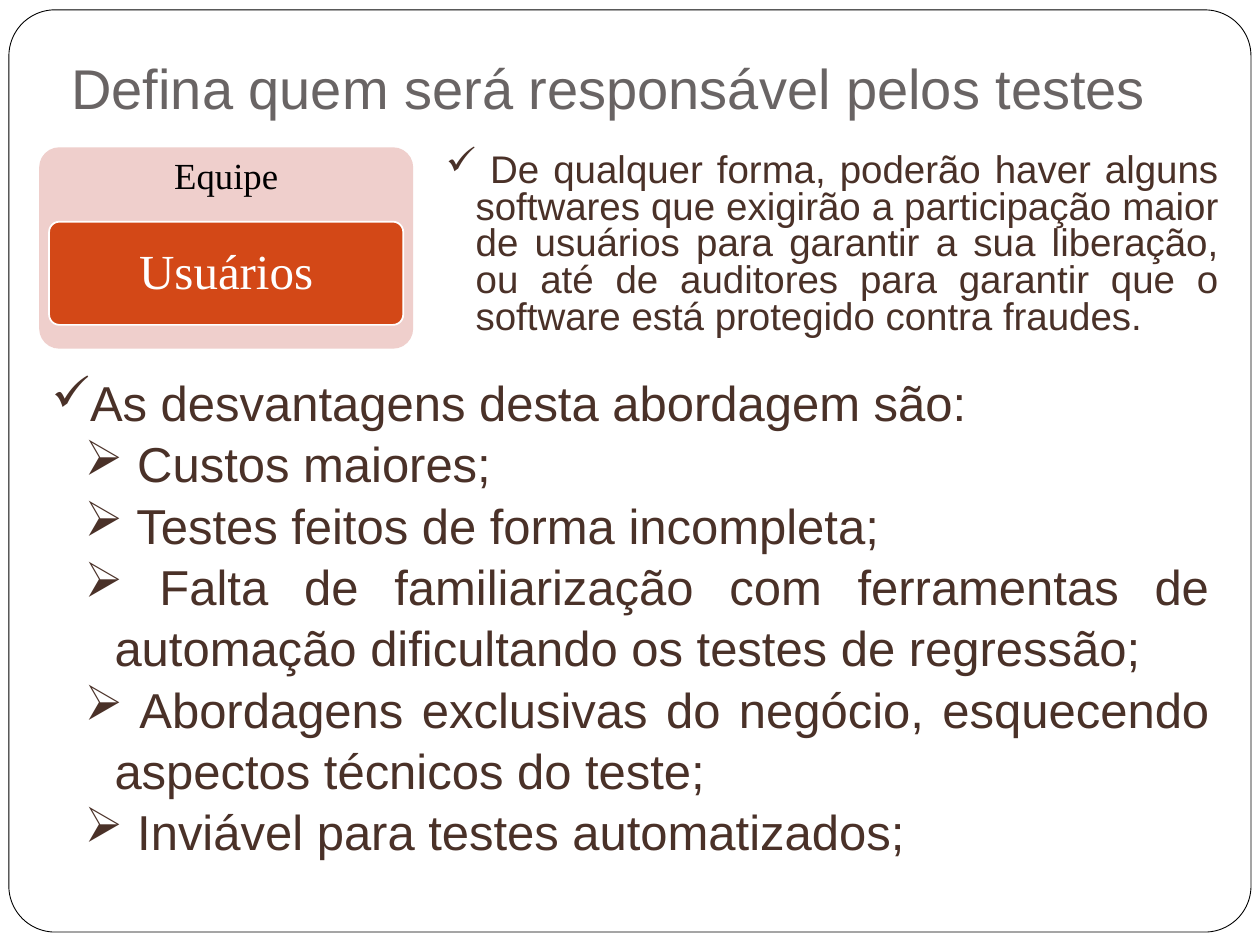
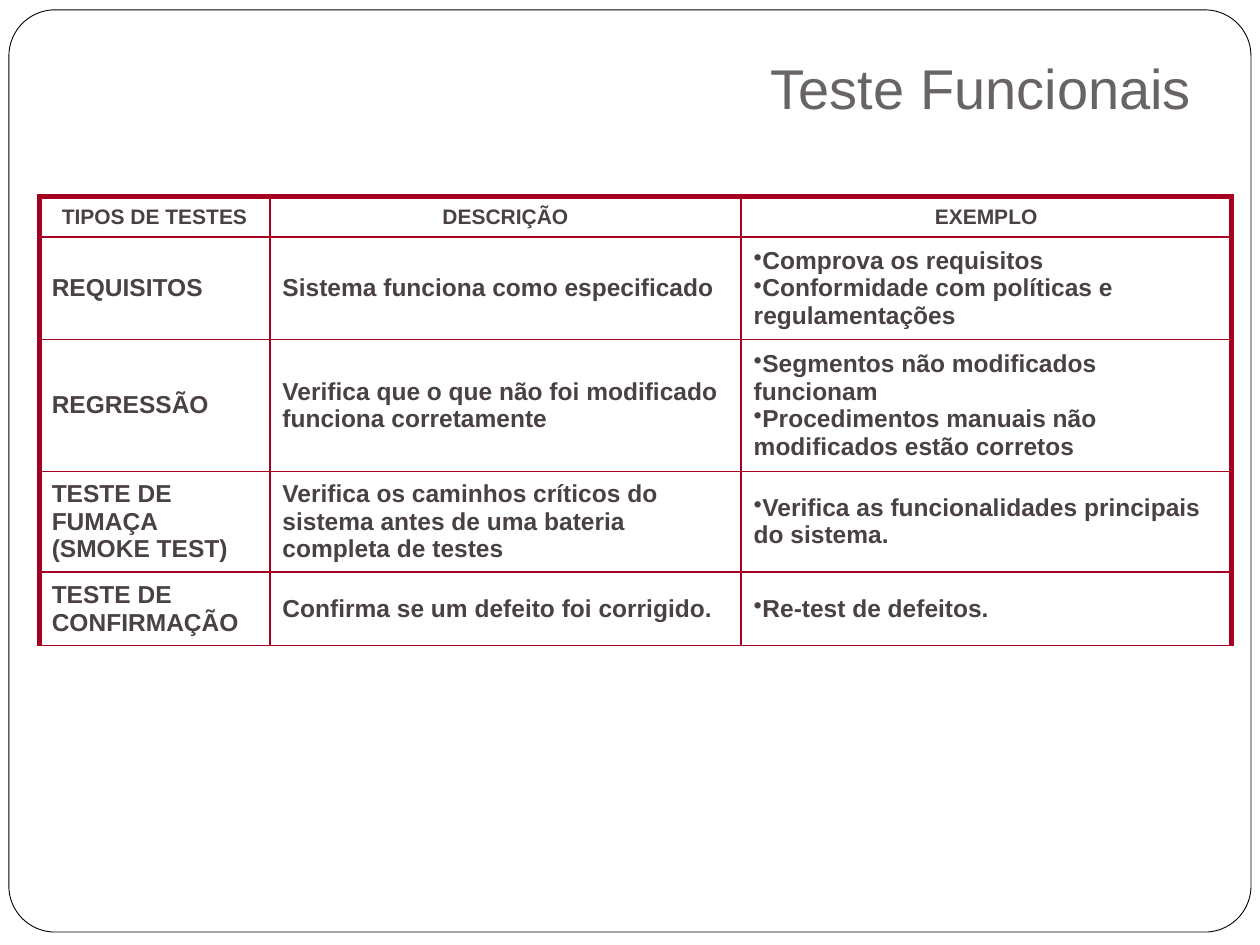
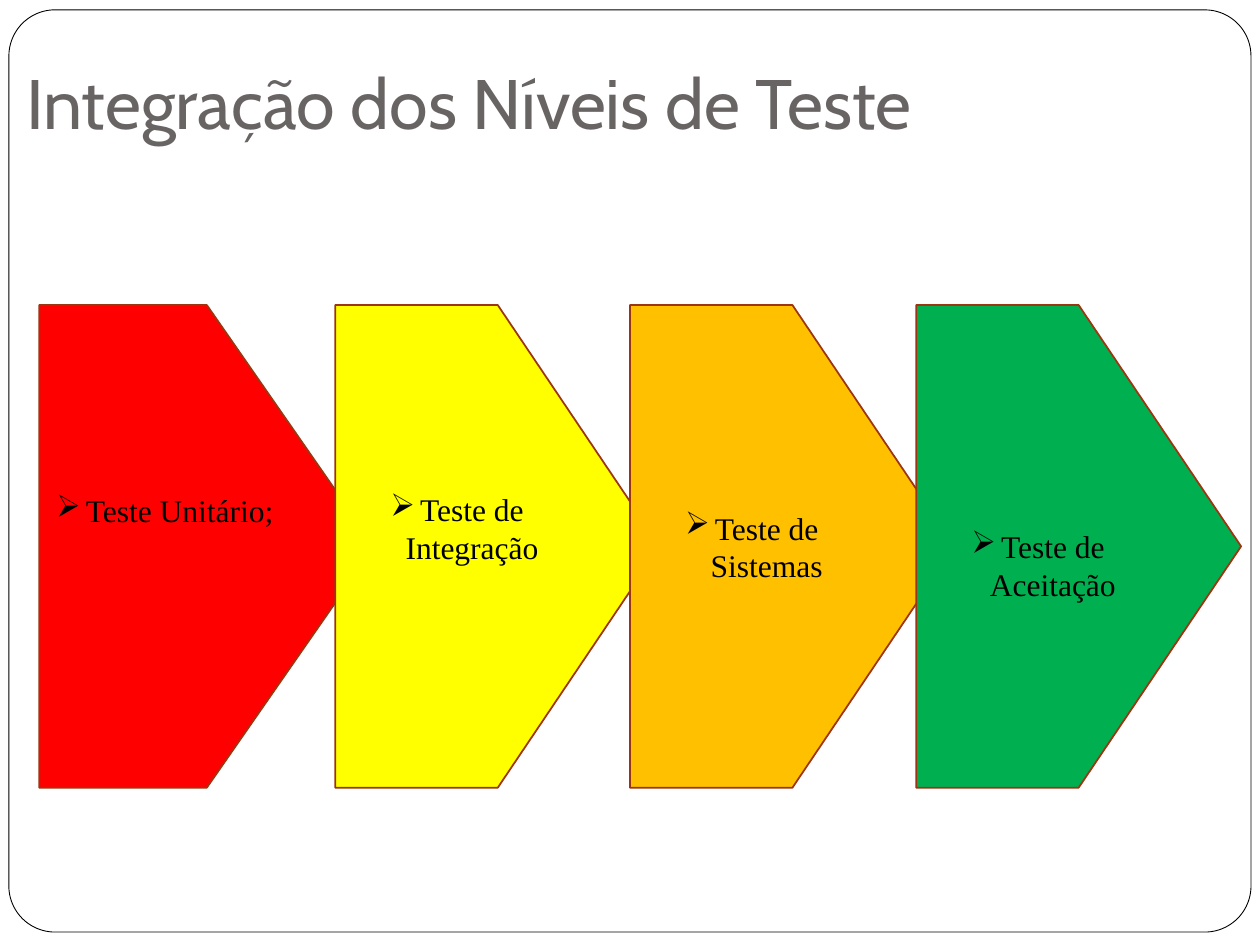
from dataclasses import dataclass

from lxml.etree import SubElement
from pptx import Presentation
from pptx.dml.color import RGBColor
from pptx.enum.shapes import MSO_SHAPE as Shape
from pptx.enum.text import MSO_ANCHOR as Anchor, PP_ALIGN as Align
from pptx.oxml.ns import qn
from pptx.util import Cm, Pt


@dataclass(frozen=True)
class Theme:
    sans: str = "Arial"
    serif: str = "Times New Roman"
    display: str = "Cabin"
    white: str = "FFFFFF"
    black: str = "000000"
    title: str = "696464"
    body: str = "4A3128"
    team: str = "EFCFCC"
    users: str = "D34817"
    grid: str = "A50021"
    cell: str = "494142"
    arrow_line: str = "9C3511"
    title_size: int = 32
    display_size: int = 40
    body_size: int = 28
    note_size: int = 22
    team_size: int = 21
    arrow_size: int = 18
    cell_size: int = 14
    header_size: int = 12
    hanging: float = 0.6
    thick: float = 3
    thin: float = 1


THEME = Theme()

DRAWBACKS = [
    " Custos maiores;",
    " Testes feitos de forma incompleta;",
    " Falta de familiarização com ferramentas de automação dificultando os testes de regressão;",
    " Abordagens exclusivas do negócio, esquecendo aspectos técnicos do teste;",
    " Inviável para testes automatizados;",
]

TEST_HEADERS = ["TIPOS DE TESTES", "DESCRIÇÃO", "EXEMPLO"]
TEST_TYPES = [
    ("REQUISITOS", "Sistema funciona como especificado",
     ["Comprova os requisitos", "Conformidade com políticas e regulamentações"]),
    ("REGRESSÃO", "Verifica que o que não foi modificado funciona corretamente",
     ["Segmentos não modificados funcionam",
      "Procedimentos manuais não modificados estão corretos"]),
    ("TESTE DE FUMAÇA (SMOKE TEST)",
     "Verifica os caminhos críticos do sistema antes de uma bateria completa de testes",
     ["Verifica as funcionalidades principais do sistema."]),
    ("TESTE DE CONFIRMAÇÃO", "Confirma se um defeito foi corrigido.",
     ["Re-test de defeitos."]),
]
COLUMN_WIDTHS = [4.65, 9.5, 9.88]
ROW_HEIGHTS = [0.82, 2.06, 2.66, 1.48, 1.48]

# (text, fill, left, width, lines of upward shift)
TEST_LEVELS = [
    ("Teste Unitário;", "FF0000", 0.79, 6.76, 2),
    ("Teste de Integração", "FFFF00", 6.76, 6.55, 1),
    ("Teste de Sistemas", "FFC000", 12.7, 6.55, 0),
    ("Teste de Aceitação", "00B050", 18.47, 6.55, -1),
]


def write_text(frame, text, size, color, font=THEME.sans, bold=False, align=Align.LEFT,
               bullet=None, margin=0, hanging=0, spacing=None):
    para = frame.paragraphs[0]
    if para.runs:
        para = frame.add_paragraph()
    para.alignment = align
    if spacing:
        para.line_spacing = spacing
    if bullet:
        properties = para._p.get_or_add_pPr()
        properties.set("marL", str(Cm(margin)))
        properties.set("indent", str(-Cm(hanging)))
        SubElement(properties, qn("a:buChar")).set("char", bullet)
    span = para.add_run()
    span.text = text
    span.font.name = font
    span.font.size = Pt(size)
    span.font.bold = bold
    span.font.color.rgb = RGBColor.from_string(color)


def add_box(page, left, top, width, height, anchor=Anchor.TOP):
    box = page.shapes.add_textbox(Cm(left), Cm(top), Cm(width), Cm(height))
    box.text_frame.word_wrap = True
    box.text_frame.vertical_anchor = anchor
    return box.text_frame


def add_panel(page, kind, left, top, width, height, fill, line=None, weight=1, corner=None):
    panel = page.shapes.add_shape(kind, Cm(left), Cm(top), Cm(width), Cm(height))
    panel.shadow.inherit = False
    panel.fill.solid()
    panel.fill.fore_color.rgb = RGBColor.from_string(fill)
    if line:
        panel.line.color.rgb = RGBColor.from_string(line)
        panel.line.width = Pt(weight)
    else:
        panel.line.fill.background()
    if corner is not None:
        panel.adjustments[0] = corner
    frame = panel.text_frame
    frame.word_wrap = True
    frame.vertical_anchor = Anchor.MIDDLE
    return frame


def add_page(deck):
    page = deck.slides.add_slide(deck.slide_layouts[6])
    add_panel(page, Shape.ROUNDED_RECTANGLE, 0.18, 0.2, 25.04, 18.59,
              THEME.white, THEME.black, weight=0.5, corner=0.05)
    return page


def add_title(page, text, left, width):
    frame = add_box(page, left, 0.94, width, 1.63, Anchor.MIDDLE)
    write_text(frame, text, THEME.title_size, THEME.title)


def set_borders(cell, weights):
    properties = cell._tc.get_or_add_tcPr()
    for side, weight in weights.items():
        line = SubElement(properties, qn(f"a:ln{side}"), w=str(Pt(weight)))
        fill = SubElement(line, qn("a:solidFill"))
        SubElement(fill, qn("a:srgbClr"), val=THEME.grid)


def add_test_table(page):
    rows, columns = len(ROW_HEIGHTS), len(COLUMN_WIDTHS)
    table = page.shapes.add_table(rows, columns, Cm(0.79), Cm(3.96),
                                  Cm(sum(COLUMN_WIDTHS)), Cm(sum(ROW_HEIGHTS))).table
    for column, width in zip(table.columns, COLUMN_WIDTHS):
        column.width = Cm(width)
    for row, height in zip(table.rows, ROW_HEIGHTS):
        row.height = Cm(height)
    for row_index, values in enumerate([TEST_HEADERS, *TEST_TYPES]):
        header = row_index == 0
        for column_index, value in enumerate(values):
            cell = table.cell(row_index, column_index)
            cell.vertical_anchor = Anchor.MIDDLE
            set_borders(cell, {
                "L": THEME.thick if column_index == 0 else THEME.thin,
                "R": THEME.thick if column_index == columns - 1 else THEME.thin,
                "T": THEME.thick if header else THEME.thin,
                "B": THEME.thin,
            })
            cell.fill.background()
            listed = isinstance(value, list)
            for text in value if listed else [value]:
                write_text(cell.text_frame, text,
                           THEME.header_size if header else THEME.cell_size,
                           THEME.cell, bold=True,
                           align=Align.CENTER if header else Align.LEFT,
                           bullet="•" if listed else None)


def add_team(page):
    add_panel(page, Shape.ROUNDED_RECTANGLE, 0.79, 2.97, 7.54, 4.06, THEME.team, corner=0.1)
    label = add_box(page, 0.79, 2.97, 7.54, 1.22, Anchor.MIDDLE)
    write_text(label, "Equipe", THEME.team_size, THEME.black, font=THEME.serif,
               align=Align.CENTER, spacing=0.9)
    users = add_panel(page, Shape.ROUNDED_RECTANGLE, 0.99, 4.47, 7.14, 2.08,
                      THEME.users, THEME.white, corner=0.1)
    write_text(users, "Usuários", THEME.body_size, THEME.white, font=THEME.serif,
               align=Align.CENTER, spacing=0.9)


def add_level_arrow(page, text, fill, left, width, lift):
    frame = add_panel(page, Shape.PENTAGON, left, 6.15, width, 9.73, fill, THEME.arrow_line)
    line_height = 0.74
    frame.margin_top = Cm(0.13 + line_height * max(-lift, 0))
    frame.margin_bottom = Cm(0.13 + line_height * max(lift, 0))
    write_text(frame, text, THEME.arrow_size, THEME.black, font=THEME.serif,
               align=Align.CENTER, bullet="➢", margin=THEME.hanging, hanging=THEME.hanging)


def build_responsibility(deck):
    page = add_page(deck)
    add_title(page, "Defina quem será responsável pelos testes", 1.19, 23.83)
    add_team(page)
    note = add_box(page, 8.74, 2.97, 16.08, 4.01)
    write_text(note, " De qualquer forma, poderão haver alguns softwares que exigirão a "
               "participação maior de usuários para garantir a sua liberação, ou até de "
               "auditores para garantir que o software está protegido contra fraudes.",
               THEME.note_size, THEME.body, align=Align.JUSTIFY, bullet="✓",
               margin=THEME.hanging, hanging=THEME.hanging, spacing=0.8)
    body = add_box(page, 0.79, 7.34, 23.83, 10.13)
    points = [("As desvantagens desta abordagem são:", "✓", THEME.hanging)]
    points += [(text, "➢", 1.27) for text in DRAWBACKS]
    for text, bullet, margin in points:
        write_text(body, text, THEME.body_size, THEME.body, align=Align.JUSTIFY,
                   bullet=bullet, margin=margin, hanging=THEME.hanging, spacing=Pt(35))


def build_functional_tests(deck):
    page = add_page(deck)
    add_title(page, "Teste Funcionais", 15.29, 9.32)
    add_test_table(page)


def build_test_levels(deck):
    page = add_page(deck)
    frame = add_box(page, 0, 0.58, 24.43, 2.57, Anchor.BOTTOM)
    frame.margin_left = Cm(0.53)
    frame.margin_bottom = Cm(0.25)
    write_text(frame, "Integração dos Níveis de Teste", THEME.display_size, THEME.title,
               font=THEME.display)
    for level in TEST_LEVELS:
        add_level_arrow(page, *level)


def main():
    deck = Presentation()
    deck.slide_width, deck.slide_height = Cm(25.4), Cm(19.05)
    build_responsibility(deck)
    build_functional_tests(deck)
    build_test_levels(deck)
    deck.save("out.pptx")


if __name__ == "__main__":
    main()
